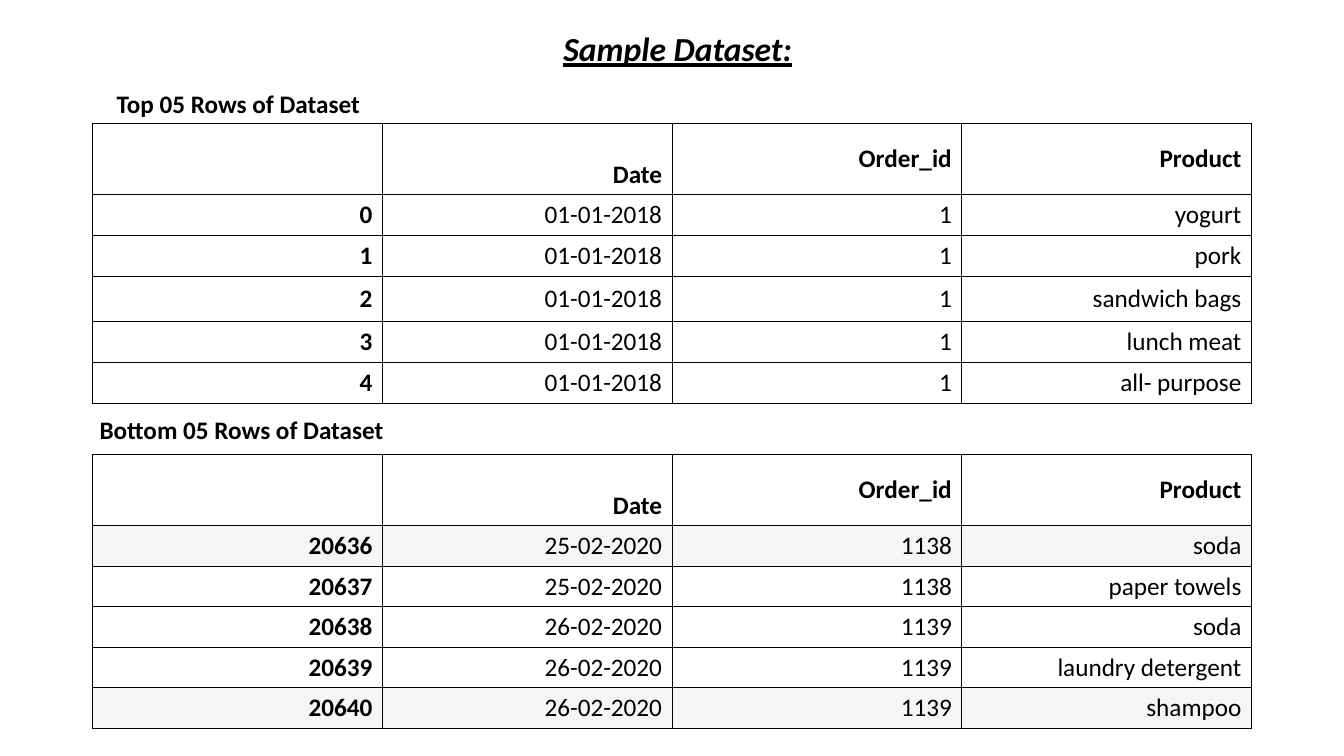
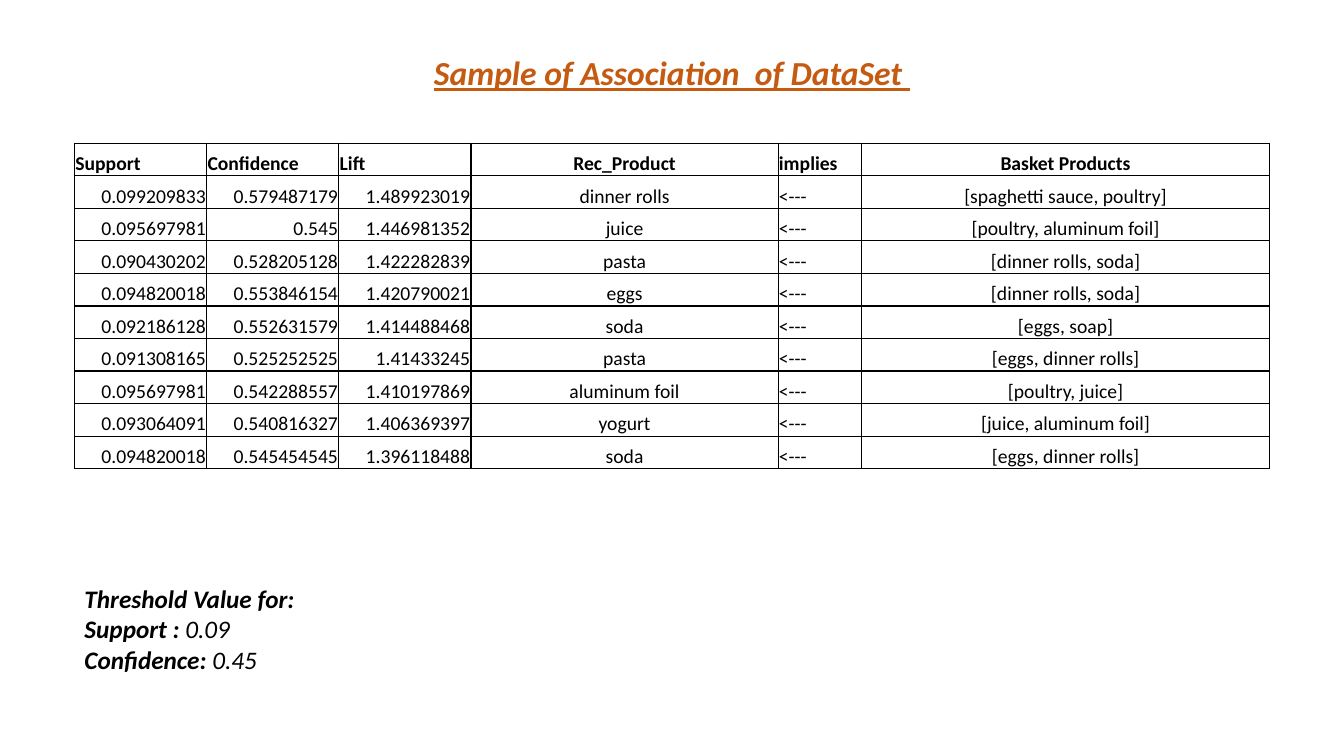
from dataclasses import dataclass
from typing import Optional

from lxml.etree import SubElement
from pptx import Presentation
from pptx.dml.color import RGBColor
from pptx.enum.text import MSO_ANCHOR as Anchor, MSO_AUTO_SIZE as AutoSize, PP_ALIGN as Align
from pptx.oxml.ns import qn
from pptx.util import Cm, Pt

BLACK = RGBColor(0x00, 0x00, 0x00)
ORANGE = RGBColor(0xC5, 0x5A, 0x11)
STRIPE = RGBColor(0xF5, 0xF5, 0xF5)
FONT = "Calibri"
TITLE_ONLY = 5
SLIDE_WIDTH, SLIDE_HEIGHT = 33.87, 19.05


@dataclass(frozen=True)
class Box:
    left: float
    top: float
    width: float
    height: float

    def lengths(self) -> tuple:
        return Cm(self.left), Cm(self.top), Cm(self.width), Cm(self.height)


@dataclass(frozen=True)
class CellStyle:
    align: Align = Align.RIGHT
    anchor: Anchor = Anchor.MIDDLE
    size: int = 18
    bold: bool = False
    inset: Optional[float] = None
    fill: Optional[RGBColor] = None


@dataclass(frozen=True)
class Sample:
    caption: str
    caption_box: Box
    top: float
    row_heights: tuple
    rows: tuple
    striped: tuple = ()


SAMPLE_LEFT = 2.34
SAMPLE_COLUMNS = (7.3,) * 4
SAMPLE_HEADER = ("", "Date", "Order_id", "Product")
SAMPLES = (
    Sample("Top 05 Rows of Dataset", Box(2.69, 2.11, 28.85, 1.02), 3.12,
           (1.79, 1.02, 1.02, 1.14, 1.02, 1.02),
           (("0", "01-01-2018", "1", "yogurt"),
            ("1", "01-01-2018", "1", "pork"),
            ("2", "01-01-2018", "1", "sandwich bags"),
            ("3", "01-01-2018", "1", "lunch meat"),
            ("4", "01-01-2018", "1", "all- purpose"))),
    Sample("Bottom 05 Rows of Dataset", Box(2.26, 10.31, 28.85, 1.02), 11.46,
           (1.79,) + (1.02,) * 5,
           (("20636", "25-02-2020", "1138", "soda"),
            ("20637", "25-02-2020", "1138", "paper towels"),
            ("20638", "26-02-2020", "1139", "soda"),
            ("20639", "26-02-2020", "1139", "laundry detergent"),
            ("20640", "26-02-2020", "1139", "shampoo")),
           striped=(1, 5)),
)

RULE_COLUMNS = (3.33, 3.33, 3.33, 7.74, 2.11, 10.27)
RULE_ROW_HEIGHT = 0.82
RULE_HEADER = ("Support", "Confidence", "Lift", "Rec_Product", "implies", "Basket Products")
RULE_HEADER_ALIGNS = (Align.LEFT,) * 3 + (Align.CENTER, Align.LEFT, Align.CENTER)
RULE_ALIGNS = (Align.RIGHT,) * 3 + RULE_HEADER_ALIGNS[3:]
RULES = (
    ("0.099209833", "0.579487179", "1.489923019", "dinner rolls", "[spaghetti sauce, poultry]"),
    ("0.095697981", "0.545", "1.446981352", "juice", "[poultry, aluminum foil]"),
    ("0.090430202", "0.528205128", "1.422282839", "pasta", "[dinner rolls, soda]"),
    ("0.094820018", "0.553846154", "1.420790021", "eggs", "[dinner rolls, soda]"),
    ("0.092186128", "0.552631579", "1.414488468", "soda", "[eggs, soap]"),
    ("0.091308165", "0.525252525", "1.41433245", "pasta", "[eggs, dinner rolls]"),
    ("0.095697981", "0.542288557", "1.410197869", "aluminum foil", "[poultry, juice]"),
    ("0.093064091", "0.540816327", "1.406369397", "yogurt", "[juice, aluminum foil]"),
    ("0.094820018", "0.545454545", "1.396118488", "soda", "[eggs, dinner rolls]"),
)
THRESHOLDS = (("Threshold Value for:", ""), ("Support : ", "0.09"), ("Confidence: ", "0.45"))


def write(paragraph, text: str, *, size: int = 18, color: RGBColor = BLACK, bold: bool = False,
          italic: bool = False, underline: bool = False, align: Align = Align.LEFT) -> None:
    paragraph.alignment = align
    if not text:
        return
    run = paragraph.add_run()
    run.text = text
    font = run.font
    font.name, font.size, font.color.rgb = FONT, Pt(size), color
    font.bold, font.italic, font.underline = bold, italic, underline


def add_titled_slide(deck, title: str, box: Box, color: RGBColor):
    slide = deck.slides.add_slide(deck.slide_layouts[TITLE_ONLY])
    heading = slide.shapes.title
    heading.left, heading.top, heading.width, heading.height = box.lengths()
    frame = heading.text_frame
    frame.auto_size, frame.vertical_anchor = AutoSize.NONE, Anchor.TOP
    write(frame.paragraphs[0], title, size=24, color=color, bold=True, italic=True,
          underline=True, align=Align.CENTER)
    return slide


def add_text_frame(slide, box: Box):
    frame = slide.shapes.add_textbox(*box.lengths()).text_frame
    frame.word_wrap = True
    return frame


def draw_borders(cell) -> None:
    properties = cell._tc.get_or_add_tcPr()
    for side in ("a:lnL", "a:lnR", "a:lnT", "a:lnB"):
        line = SubElement(properties, qn(side), w=str(Pt(1)))
        SubElement(SubElement(line, qn("a:solidFill")), qn("a:srgbClr"), val=str(BLACK))


def format_cell(cell, text: str, style: CellStyle) -> None:
    cell.vertical_anchor = style.anchor
    if style.inset is not None:
        cell.margin_left = cell.margin_right = cell.margin_top = Cm(style.inset)
        cell.margin_bottom = 0
    draw_borders(cell)
    if style.fill is None:
        cell.fill.background()
    else:
        cell.fill.solid()
        cell.fill.fore_color.rgb = style.fill
    write(cell.text_frame.paragraphs[0], text, size=style.size, bold=style.bold, align=style.align)


def add_grid(slide, left: float, top: float, widths: tuple, heights: tuple, rows: tuple,
             style_for) -> None:
    box = Box(left, top, sum(widths), sum(heights))
    grid = slide.shapes.add_table(len(heights), len(widths), *box.lengths()).table
    grid.first_row = grid.horz_banding = False
    for column, width in zip(grid.columns, widths):
        column.width = Cm(width)
    for row, height in zip(grid.rows, heights):
        row.height = Cm(height)
    for r, values in enumerate(rows):
        for c, value in enumerate(values):
            format_cell(grid.cell(r, c), value, style_for(r, c))


def add_sample(slide, sample: Sample) -> None:
    def style_for(row: int, column: int) -> CellStyle:
        is_date_header = row == 0 and column == 1
        return CellStyle(anchor=Anchor.BOTTOM if is_date_header else Anchor.MIDDLE,
                         bold=row == 0 or column == 0,
                         fill=STRIPE if row in sample.striped else None)

    add_grid(slide, SAMPLE_LEFT, sample.top, SAMPLE_COLUMNS, sample.row_heights,
             (SAMPLE_HEADER,) + sample.rows, style_for)
    caption = add_text_frame(slide, sample.caption_box)
    write(caption.paragraphs[0], sample.caption, bold=True)


def rule_style(row: int, column: int) -> CellStyle:
    aligns = RULE_ALIGNS if row else RULE_HEADER_ALIGNS
    return CellStyle(aligns[column], Anchor.BOTTOM, size=14, bold=row == 0, inset=0.02)


def add_thresholds(slide, box: Box) -> None:
    frame = add_text_frame(slide, box)
    for index, (label, value) in enumerate(THRESHOLDS):
        paragraph = frame.add_paragraph() if index else frame.paragraphs[0]
        write(paragraph, label, bold=True, italic=True)
        write(paragraph, value, italic=True)


def main() -> None:
    deck = Presentation()
    deck.slide_width, deck.slide_height = Cm(SLIDE_WIDTH), Cm(SLIDE_HEIGHT)

    dataset = add_titled_slide(deck, "Sample Dataset:", Box(2.36, 0.58, 29.44, 1.27), BLACK)
    for sample in SAMPLES:
        add_sample(dataset, sample)

    association = add_titled_slide(deck, "Sample of Association  of DataSet ",
                                   Box(0, 1.19, SLIDE_WIDTH, 1.27), ORANGE)
    add_thresholds(association, Box(1.88, 14.58, 30.12, 2.57))
    rules = (RULE_HEADER,) + tuple((*rule[:4], "<---", rule[4]) for rule in RULES)
    add_grid(association, 1.88, 3.61, RULE_COLUMNS, (RULE_ROW_HEIGHT,) * len(rules), rules,
             rule_style)

    deck.save("out.pptx")


if __name__ == "__main__":
    main()
